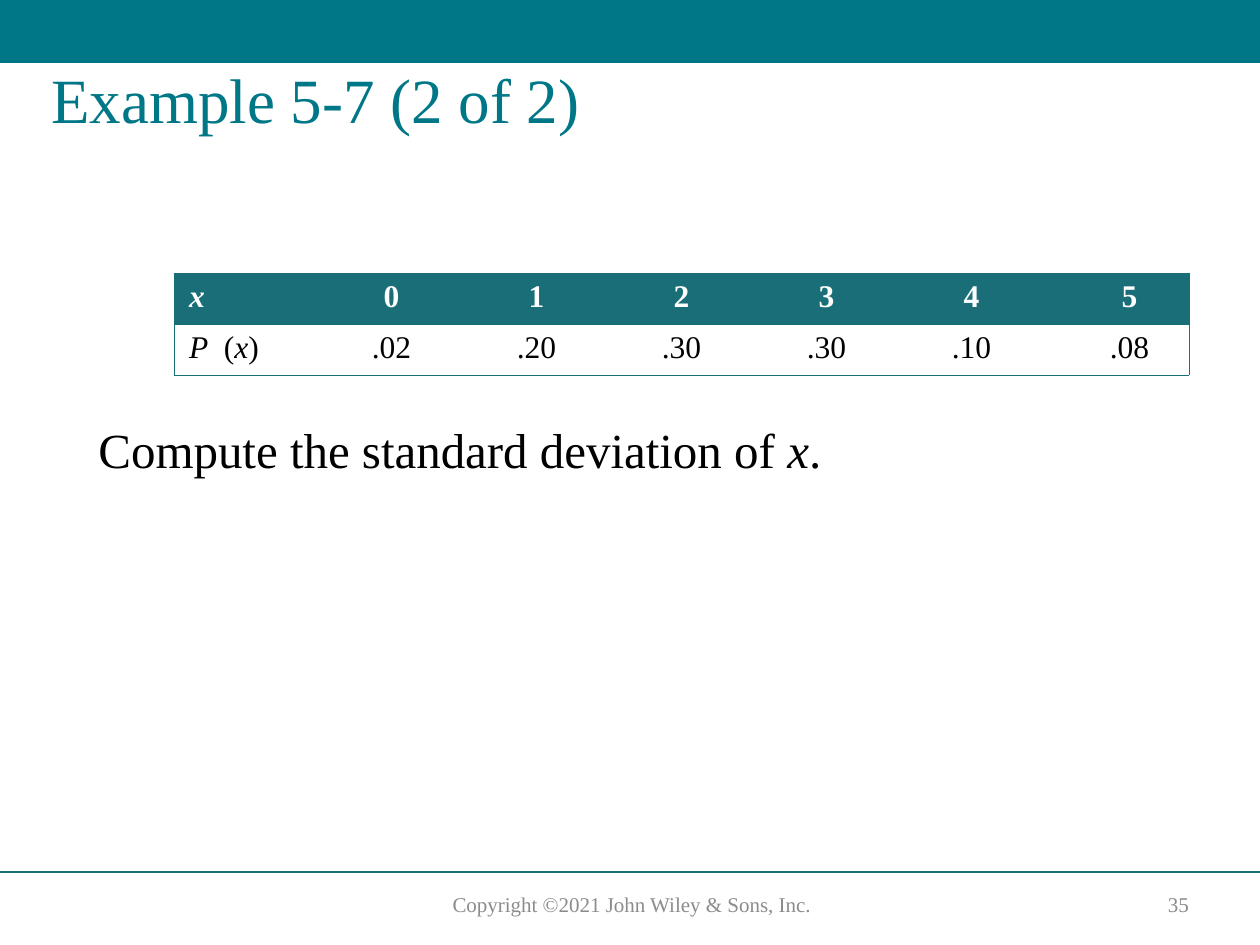
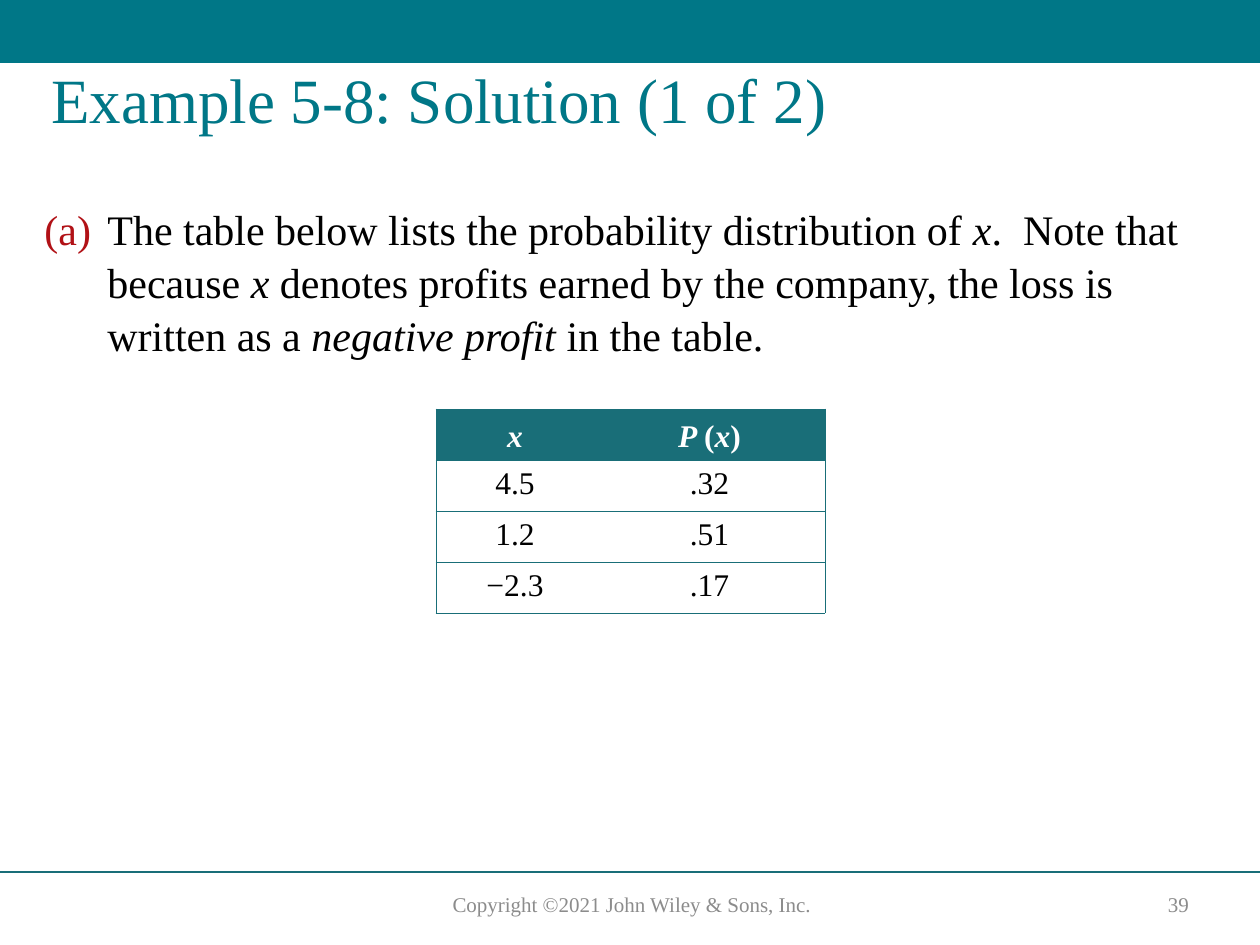
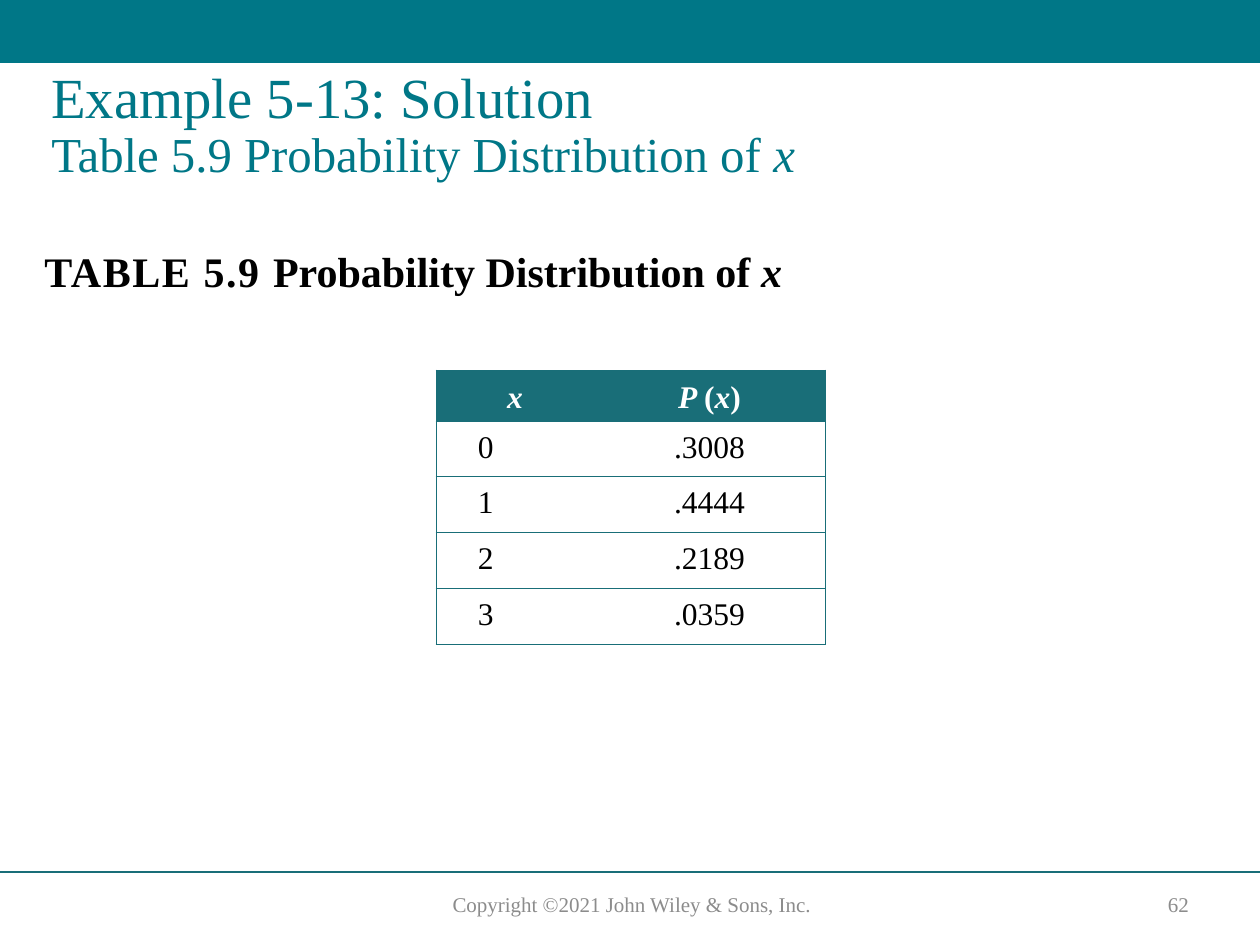
import pptx
import pptx.util
import pptx.dml.color
import pptx.enum.text
import pptx.enum.shapes
import pptx.oxml
import pptx.oxml.ns
import lxml.etree

RGB = pptx.dml.color.RGBColor
TEAL = RGB(0x00, 0x77, 0x87)
DARK = RGB(0x19, 0x6E, 0x78)
GREY = RGB(0x8C, 0x8C, 0x8C)
RED = RGB(0xB1, 0x11, 0x16)
BLACK = RGB(0, 0, 0)
WHITE = RGB(255, 255, 255)
FONT = "Times New Roman"
PLAIN = "{2D5ABB26-0587-4C30-8999-92F81FD0307C}"
ALIGN = pptx.enum.text.PP_ALIGN
ANCHOR = pptx.enum.text.MSO_ANCHOR
SCALE = 914400 / 126
WIDE, HIGH = 1260, 945
qn = pptx.oxml.ns.qn


def emu(*sizes):
    return [round(size * SCALE) for size in sizes]


def write(para, text, size, color, bold=False, space=0):
    for turn, part in enumerate(text.split("*")):
        if not part:
            continue
        run = para.add_run()
        run.text = part
        look = {"name": FONT, "size": pptx.util.Pt(size), "bold": bold, "italic": turn % 2 == 1}
        for key, value in look.items():
            setattr(run.font, key, value)
        run.font.color.rgb = color
        if space:
            run.font._element.set("spc", str(space))


pairs = {"cols": [158, 231], "align": [ALIGN.CENTER, ALIGN.CENTER], "head": ANCHOR.BOTTOM, "last": 0}
pages = [
    {
        "num": "35",
        "title": [("Example 5-7 (2 of 2)", 36)],
        "body": [("Compute the standard deviation of *x*.", 28, False, 0)],
        "place": (86, 410, 1076, 88),
        "list": False,
        "grid": {
            "at": (174, 273), "cols": [145] * 7, "rows": [51, 51], "pad": (15, 6, 15, 6),
            "align": [ALIGN.LEFT] + [ALIGN.CENTER] * 6, "head": ANCHOR.TOP, "last": 26,
            "data": [["*x*", "0", "1", "2", "3", "4", "5"],
                     ["*P*  (*x*)", ".02", ".20", ".30", ".30", ".10", ".08"]],
        },
    },
    {
        "num": "39",
        "title": [("Example 5-8: Solution (1 of 2)", 36)],
        "body": [("The table below lists the probability distribution of *x*.  Note that because *x* "
                  "denotes profits earned by the company, the loss is written as a "
                  "*negative profit *in the table.", 24, False, 0)],
        "place": (32, 195, 1176, 113),
        "list": True,
        "grid": {
            **pairs, "at": (436, 409), "rows": [51] * 4, "pad": (0, 6, 0, 6),
            "data": [["*x*", "*P *(*x*)"], ["4.5", ".32"], ["1.2", ".51"], ["−2.3", ".17"]],
        },
    },
    {
        "num": "62",
        "title": [("Example 5-13: Solution", 32.4), ("Table 5.9 Probability Distribution of *x*", 27.9)],
        "body": [("TABLE 5.9 ", 24, True, 90), ("Probability Distribution of *x*", 24, True, 0)],
        "place": (32, 237, 1176, 88),
        "list": False,
        "grid": {
            **pairs, "at": (436, 370), "rows": [51] + [52] * 4, "pad": (42, 9, 10, 9),
            "align": [ALIGN.LEFT, ALIGN.CENTER],
            "data": [["*x*", "*P *(*x*)"], ["0", ".3008"], ["1", ".4444"], ["2", ".2189"], ["3", ".0359"]],
        },
    },
]

deck = pptx.Presentation()
deck.slide_width, deck.slide_height = emu(WIDE, HIGH)

for page in pages:
    slide = deck.slides.add_slide(deck.slide_layouts[6])
    shapes = slide.shapes

    band = shapes.add_shape(pptx.enum.shapes.MSO_SHAPE.RECTANGLE, *emu(0, 0, WIDE, 63))
    band.shadow.inherit = False
    band.fill.solid()
    band.fill.fore_color.rgb = TEAL
    band.line.fill.background()

    rule = shapes.add_connector(pptx.enum.shapes.MSO_CONNECTOR.STRAIGHT, *emu(0, 872, WIDE, 872))
    rule.line.color.rgb = DARK
    rule.line.width = pptx.util.Pt(1)
    lxml.etree.SubElement(rule._element.spPr, qn("a:effectLst"))

    paras = {}
    for name, place in {
        "foot": (406, 885, 452, 38),
        "num": (1140, 887, 77, 35),
        "title": (39, 63, 1176, 136),
        "body": page["place"],
    }.items():
        frame = shapes.add_textbox(*emu(*place)).text_frame
        frame.word_wrap = True
        frame.vertical_anchor = ANCHOR.MIDDLE if name == "num" else ANCHOR.TOP
        paras[name] = frame.paragraphs[0]

    for name, text in {"foot": "Copyright ©2021 John Wiley & Sons, Inc.", "num": page["num"]}.items():
        paras[name].alignment = ALIGN.CENTER
        write(paras[name], text, 12, GREY)

    title = paras["title"]
    title.line_spacing = 0.9
    for index, (text, size) in enumerate(page["title"]):
        if index:
            title.add_line_break()
        write(title, text, size, TEAL)

    body = paras["body"]
    body.line_spacing = 1.05
    if page["list"]:
        props = body._p.get_or_add_pPr()
        indent, = emu(63)
        props.set("marL", str(indent))
        props.set("indent", str(-indent))
        tint = lxml.etree.SubElement(props, qn("a:buClr"))
        lxml.etree.SubElement(tint, qn("a:srgbClr"), val=str(RED))
        lxml.etree.SubElement(props, qn("a:buAutoNum"), type="alphaLcParenBoth")
    for text, size, bold, space in page["body"]:
        write(body, text, size, BLACK, bold, space)

    grid = page["grid"]
    cols, rows = grid["cols"], grid["rows"]
    table = shapes.add_table(len(rows), len(cols), *emu(*grid["at"], sum(cols), sum(rows))).table
    table.horz_banding = False
    table._tbl.tblPr.find(qn("a:tableStyleId")).text = PLAIN
    for col, width in zip(table.columns, emu(*cols)):
        col.width = width
    for row, height in zip(table.rows, emu(*rows)):
        row.height = height

    for r, line in enumerate(grid["data"]):
        for c, text in enumerate(line):
            cell = table.cell(r, c)
            head, last = r == 0, c == len(cols) - 1
            pad = grid["pad"]
            if head and grid["head"] == ANCHOR.BOTTOM or c and pad[0] == 42:
                pad = (10, pad[1], 10, pad[3])
            if head:
                pad = (pad[0], 6, pad[2], 6)
            sides = ("margin_left", "margin_top", "margin_right", "margin_bottom")
            for side, value in zip(sides, emu(*pad)):
                setattr(cell, side, value)
            cell.vertical_anchor = grid["head"] if head else ANCHOR.TOP

            props = cell._tc.get_or_add_tcPr()
            edges = {"L": c == 0, "R": last, "T": True, "B": True}
            for edge, shown in edges.items():
                if shown:
                    border = lxml.etree.SubElement(props, qn("a:ln" + edge), w="6350")
                    fill = lxml.etree.SubElement(border, qn("a:solidFill"))
                    lxml.etree.SubElement(fill, qn("a:srgbClr"), val=str(DARK))
            cell.fill.solid()
            cell.fill.fore_color.rgb = DARK if head else WHITE

            para = cell.text_frame.paragraphs[0]
            centred = head and grid["head"] == ANCHOR.BOTTOM
            para.alignment = ALIGN.CENTER if centred else grid["align"][c]
            if not centred:
                para.space_after = pptx.util.Pt(3)
            if last and grid["last"]:
                para._p.get_or_add_pPr().set("marL", str(emu(grid["last"])[0]))
            write(para, text, 18, WHITE if head else BLACK, head)

deck.save("out.pptx")
